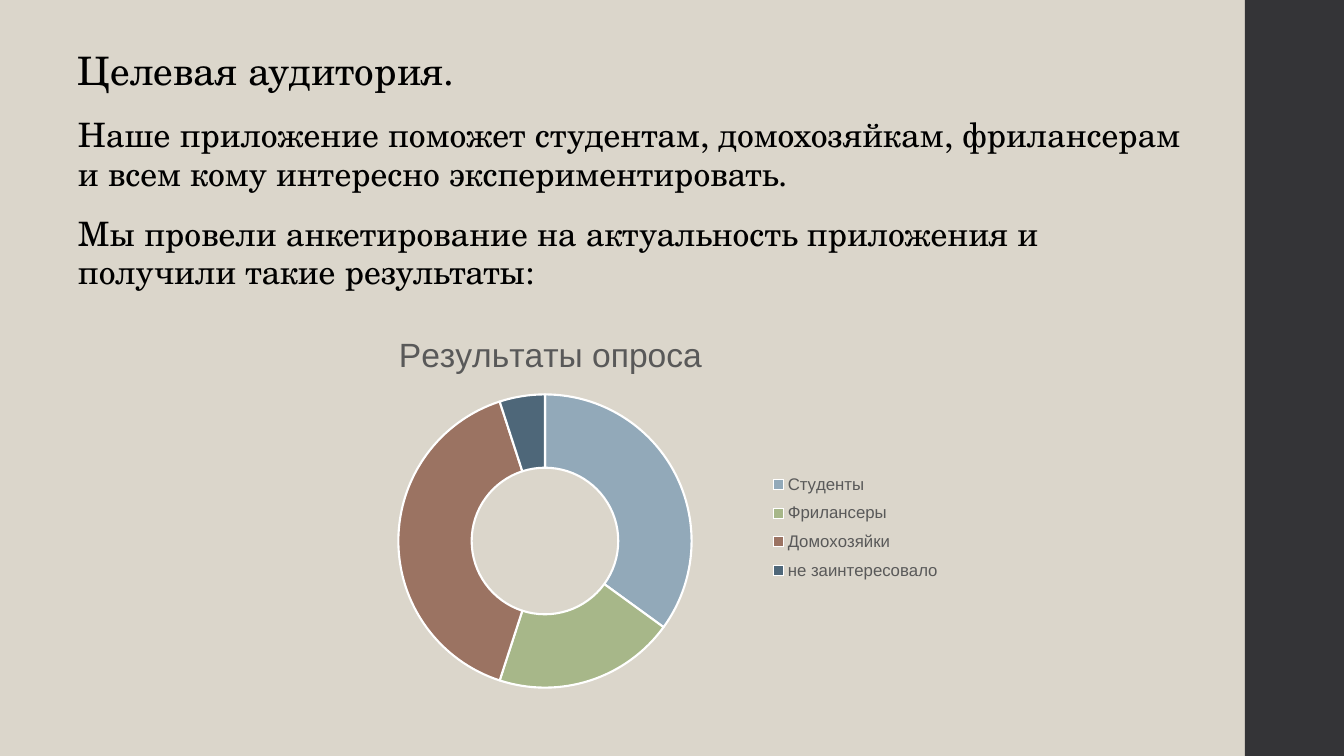
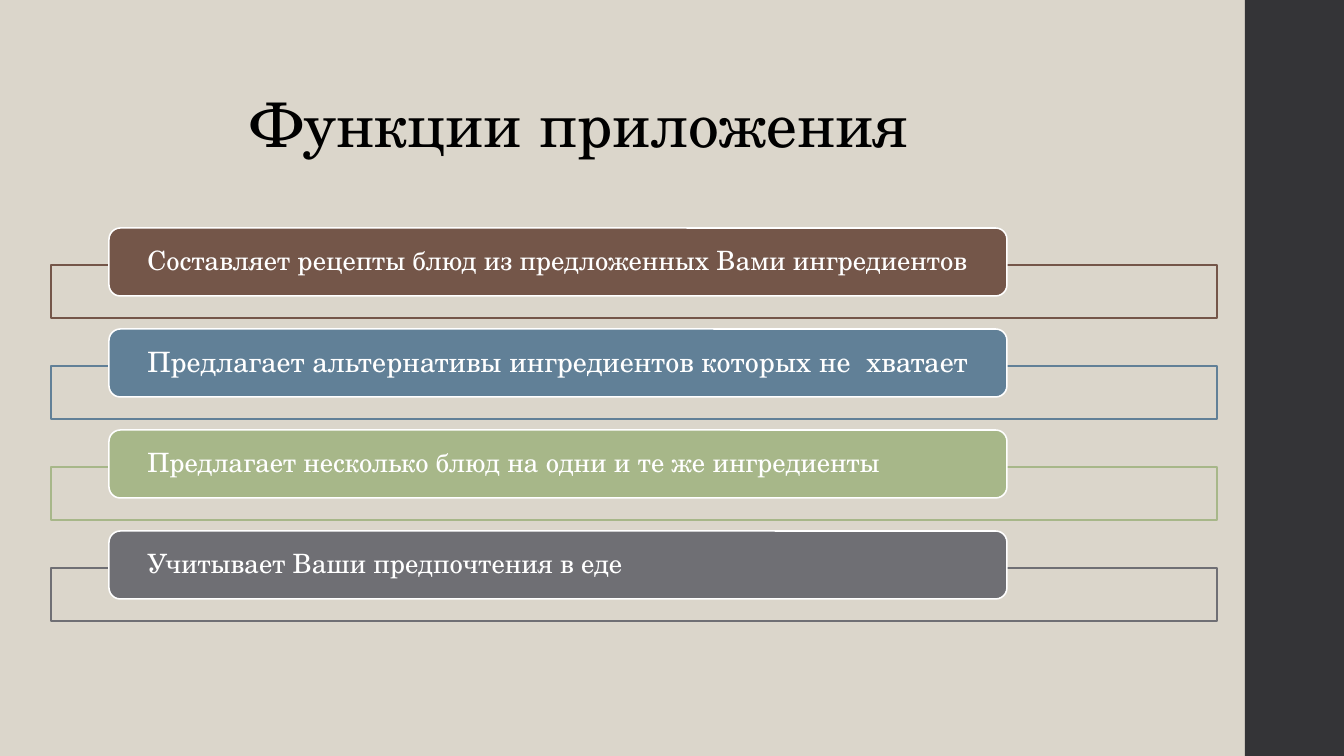
from lxml import etree
from pptx import Presentation
from pptx import util as u
from pptx.chart.data import CategoryChartData
from pptx.dml.color import RGBColor
from pptx.enum import chart as ch, shapes, text
from pptx.oxml import parse_xml
from pptx.oxml.ns import nsdecls, qn

W, H = 1344, 756
FONT, CHART_FONT = "TeX Gyre Schola", "Arial"
PAPER, BAND, INK, GREY, WHITE = "DBD6CB", "343437", "000000", "595959", "FFFFFF"
INSET_X, INSET_Y = 10, 5


def px(n):
    return u.Emu(round(n * 914400 / 100.8))


def rgb(color):
    return RGBColor.from_string(color)


def style(font, size, color, name=FONT):
    font.size, font.name = u.Pt(size), name
    font.bold = False
    font.color.rgb = rgb(color)


def shape(s, kind, box, fill=None, line=None):
    sp = s.shapes.add_shape(kind, *map(px, box))
    sp.shadow.inherit = False
    if fill:
        sp.fill.solid()
        sp.fill.fore_color.rgb = rgb(fill)
    else:
        sp.fill.background()
    if line:
        sp.line.color.rgb = rgb(line)
        sp.line.width = u.Pt(1.1)
    else:
        sp.line.fill.background()
    return sp


def write(sp, lines, color=INK, spacing=0.9, gap=0, inset=(INSET_X, INSET_Y),
          anchor=text.MSO_ANCHOR.TOP):
    """Each line is a pair of text and size in points."""
    tf = sp.text_frame
    tf.word_wrap = True
    tf.vertical_anchor = anchor
    tf.margin_left = tf.margin_right = px(inset[0])
    tf.margin_top = tf.margin_bottom = px(inset[1])
    for i, (words, size) in enumerate(lines):
        p = tf.add_paragraph() if i else tf.paragraphs[0]
        p.text = words
        p.alignment = text.PP_ALIGN.LEFT
        p.line_spacing = spacing
        p.space_before = u.Pt(gap if i else 0)
        style(p.runs[0].font, size, color)


def text_box(s, box, lines, **options):
    write(s.shapes.add_textbox(*map(px, box)), lines, **options)


def new_slide(prs):
    s = prs.slides.add_slide(prs.slide_layouts[6])
    shape(s, shapes.MSO_SHAPE.RECTANGLE, (1245, 0, 99, H), BAND)
    return s


def place(element, before, target=None, **fractions):
    """Give a chart part a manual layout, set ahead of the tags in before."""
    for old in element.findall(qn("c:layout")):
        element.remove(old)
    layout = parse_xml(f"<c:layout {nsdecls('c')}><c:manualLayout/></c:layout>")
    values = {"layoutTarget": target} if target else {}
    values.update(xMode="edge", yMode="edge", **fractions)
    for tag, value in values.items():
        etree.SubElement(layout[0], qn("c:" + tag)).set("val", str(value))
    following = [e for e in element if e.tag in map(qn, before)]
    if following:
        following[0].addprevious(layout)
    else:
        element.append(layout)


def survey_chart(s, box, title, answers):
    data = CategoryChartData()
    data.categories = [name for name, _, _ in answers]
    data.add_series("Series 1", [value for _, value, _ in answers])
    chart = s.shapes.add_chart(ch.XL_CHART_TYPE.DOUGHNUT, *map(px, box), data).chart
    style(chart.font, 10, INK, CHART_FONT)

    # Title
    tf = chart.chart_title.text_frame
    tf.text = title
    style(tf.paragraphs[0].runs[0].font, 24, GREY, CHART_FONT)
    place(chart.chart_title._element, ["c:overlay", "c:spPr", "c:txPr"], x=0.34, y=0.03)

    # Ring
    plot = chart.plots[0]
    plot.vary_by_categories = True
    plot._element.find(qn("c:holeSize")).set("val", "75")
    for i, (_, _, color) in enumerate(answers):
        fmt = plot.series[0].points[i].format
        fmt.fill.solid()
        fmt.fill.fore_color.rgb = rgb(color)
        fmt.line.color.rgb = rgb(WHITE)
        fmt.line.width = u.Pt(1.5)
    area = chart._chartSpace.chart.plotArea
    place(area, ["c:doughnutChart"], "inner", x=0.326, y=0.192, w=0.373, h=0.7)

    # Legend
    chart.has_legend = True
    legend = chart.legend
    legend.position = ch.XL_LEGEND_POSITION.CORNER
    legend.include_in_layout = False
    style(legend.font, 12, GREY, CHART_FONT)
    place(legend._element, ["c:overlay", "c:spPr", "c:txPr"], x=0.75, y=0.36, w=0.23, h=0.3)


def audience_slide(prs):
    s = new_slide(prs)
    text_box(s, (68, 45, 1139, 564), [
        ("Целевая аудитория.", 28),
        ("Наше приложение поможет студентам, домохозяйкам, фрилансерам "
         "и всем кому интересно экспериментировать.", 24),
        ("Мы провели анкетирование на актуальность приложения и "
         "получили такие результаты:", 24),
    ], spacing=0.95, gap=16)
    survey_chart(s, (93, 314, 882, 419), "Результаты опроса", [
        ("Студенты", 35, "92A9B9"),
        ("Фрилансеры", 20, "A7B789"),
        ("Домохозяйки", 40, "9B7362"),
        ("не заинтересовало", 5, "4E6779"),
    ])


def feature_list(s, box, pitch, features):
    left, top, width, _ = box
    for i, (words, size, color) in enumerate(features):
        y = top + i * pitch
        shape(s, shapes.MSO_SHAPE.RECTANGLE, (left, y + 37, width, 53), line=color)
        pill = shape(s, shapes.MSO_SHAPE.ROUNDED_RECTANGLE,
                     (left + 58, y, 898, 68), color, WHITE)
        write(pill, [(words, size)], WHITE, inset=(35, 0), anchor=text.MSO_ANCHOR.MIDDLE)


def features_slide(prs):
    s = new_slide(prs)
    text_box(s, (241, 58, 798, 108), [("Функции приложения", 44)],
             anchor=text.MSO_ANCHOR.BOTTOM)
    feature_list(s, (51, 228, 1166, 394), 101, [
        ("Составляет рецепты блюд из предложенных Вами ингредиентов", 19, "745649"),
        ("Предлагает альтернативы ингредиентов которых не  хватает", 20, "618097"),
        ("Предлагает несколько блюд на одни и те же ингредиенты", 19, "A7B789"),
        ("Учитывает Ваши предпочтения в еде", 19, "6F6F74"),
    ])


prs = Presentation()
prs.slide_width, prs.slide_height = px(W), px(H)
background = prs.slide_master.background.fill
background.solid()
background.fore_color.rgb = rgb(PAPER)
audience_slide(prs)
features_slide(prs)
prs.save("out.pptx")
